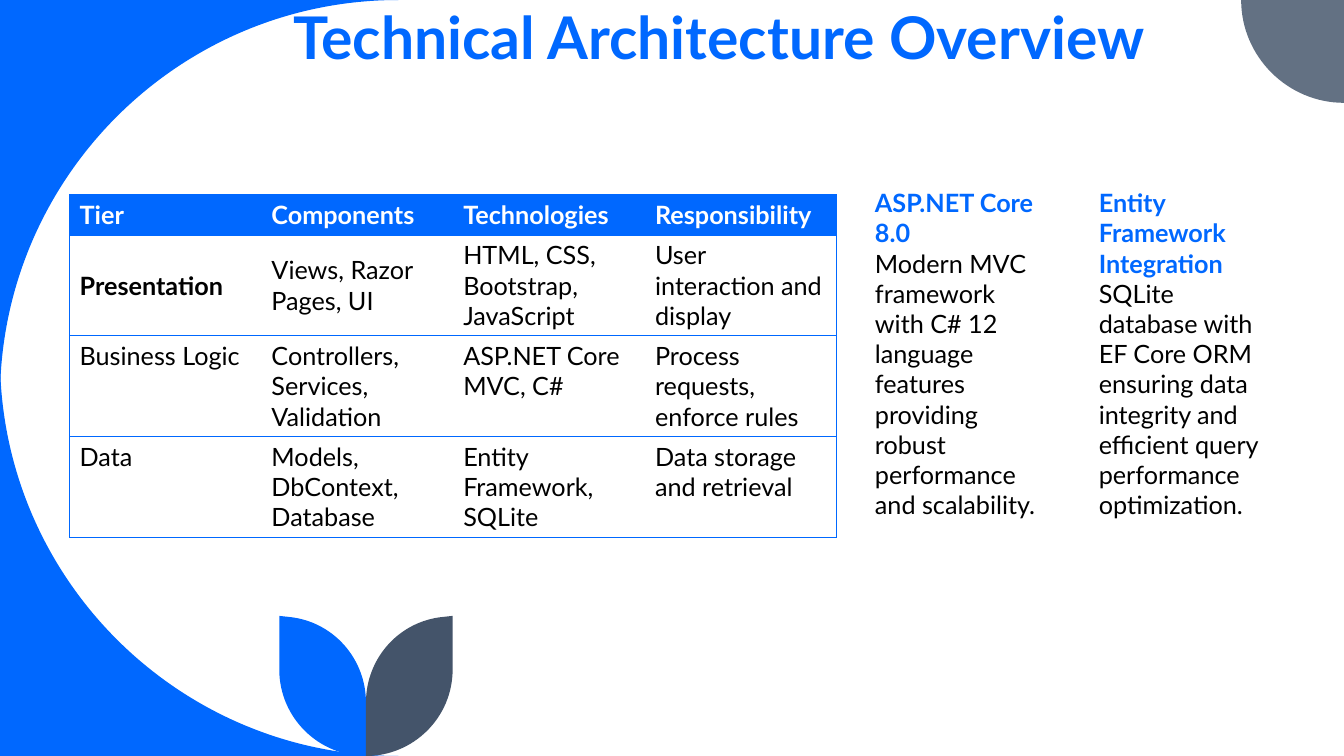
from dataclasses import dataclass

from lxml import etree
from pptx import Presentation
from pptx import util as u
from pptx.dml.color import RGBColor
from pptx.enum import text
from pptx.oxml import ns

SLIDE_W, SLIDE_H = 13.33, 7.5
PLAIN_TABLE_STYLE = "{2D5ABB26-0587-4C30-8999-92F81FD0307C}"

Point = tuple[float, float]


@dataclass(frozen=True)
class Theme:
    font: str = "Lato"
    blue: str = "0068FF"
    slate: str = "44546A"
    grey: str = "637183"
    black: str = "000000"
    white: str = "FFFFFF"
    title_size: int = 42
    body_size: int = 18
    border: float = 0.5


@dataclass(frozen=True)
class Ornament:
    """A closed outline; each index in curves starts a triple of Bézier points."""
    outline: list[Point]
    curves: tuple[int, ...]
    color: str


@dataclass(frozen=True)
class Note:
    left: float
    height: float
    heading: str
    body: str


THEME = Theme()

# Ornament outlines; the mirrored ones are derived from these
TOP_CORNER = [(0, 0), (3.95, 0), (1.77, 0), (0, 1.77), (0, 3.95)]
BOTTOM_CORNER = [(x, SLIDE_H - y) for x, y in TOP_CORNER]
RIGHT_CORNER = [(SLIDE_W, 0), (12.31, 0), (12.31, 0.56), (12.77, 1.02),
                (SLIDE_W, 1.02)]
STEM_X = 3.63
LEFT_LEAF = [(2.77, 6.11), (2.77, 6.64), (2.77, 7.12), (3.16, 7.5), (STEM_X, 7.5),
             (STEM_X, 6.97), (STEM_X, 6.53), (3.3, 6.16), (2.86, 6.12)]
RIGHT_LEAF = [(2 * STEM_X - x, y) for x, y in LEFT_LEAF]

ORNAMENTS = [
    Ornament(TOP_CORNER, (2,), THEME.blue),
    Ornament(BOTTOM_CORNER, (2,), THEME.blue),
    Ornament(RIGHT_CORNER, (2,), THEME.grey),
    Ornament(LEFT_LEAF, (2, 6), THEME.blue),
    Ornament(RIGHT_LEAF, (2, 6), THEME.slate),
]

NOTES = [
    Note(8.58, 3.43, "ASP.NET Core 8.0",
         "Modern MVC framework with C# 12 language features providing robust "
         "performance and scalability."),
    Note(10.8, 3.74, "Entity Framework Integration",
         "SQLite database with EF Core ORM ensuring data integrity and efficient "
         "query performance optimization."),
]

TIERS = [
    ("Tier", "Components", "Technologies", "Responsibility"),
    ("Presentation", "Views, Razor Pages, UI", "HTML, CSS, Bootstrap, JavaScript",
     "User interaction and display"),
    ("Business Logic", "Controllers, Services, Validation", "ASP.NET Core MVC, C#",
     "Process requests, enforce rules"),
    ("Data", "Models, DbContext, Database", "Entity Framework, SQLite",
     "Data storage and retrieval"),
]


def style(para, size: float, color: str, bold: bool = False) -> None:
    for span in para.runs:
        span.font.name = THEME.font
        span.font.size = u.Pt(size)
        span.font.bold = bold
        span.font.color.rgb = RGBColor.from_string(color)


def bend(shape, curves: tuple[int, ...]) -> None:
    """Turn each marked triple of line segments into one cubic Bézier."""
    outline = shape._element.find(".//" + ns.qn("a:path"))
    segments = list(outline)
    for start in curves:
        bezier = etree.Element(ns.qn("a:cubicBezTo"))
        segments[start].addprevious(bezier)
        for segment in segments[start:start + 3]:
            bezier.append(segment[0])
            outline.remove(segment)


def add_ornament(page, ornament: Ornament) -> None:
    points = [(u.Inches(x), u.Inches(y)) for x, y in ornament.outline]
    builder = page.shapes.build_freeform(*points[0], scale=1.0)
    builder.add_line_segments(points[1:], close=True)
    shape = builder.convert_to_shape()
    bend(shape, ornament.curves)
    shape.shadow.inherit = False
    shape.fill.solid()
    shape.fill.fore_color.rgb = RGBColor.from_string(ornament.color)
    shape.line.fill.background()


def add_box(page, left: float, top: float, width: float, height: float,
            content: str):
    box = page.shapes.add_textbox(*map(u.Inches, (left, top, width, height)))
    box.text_frame.word_wrap = True
    box.text_frame.text = content
    return box


def add_title(page) -> None:
    box = add_box(page, 2.81, -0.46, 11.82, 2.47, "Technical Architecture Overview")
    # The deep lower margin lifts the centred line to the slide's top edge
    box.text_frame.vertical_anchor = text.MSO_ANCHOR.MIDDLE
    box.text_frame.margin_bottom = u.Inches(0.76)
    para = box.text_frame.paragraphs[0]
    para.line_spacing = 0.8
    style(para, THEME.title_size, THEME.blue, bold=True)


def add_note(page, note: Note) -> None:
    box = add_box(page, note.left, 1.81, 1.93, note.height,
                  f"{note.heading}\n{note.body}")
    heading, body = box.text_frame.paragraphs
    style(heading, THEME.body_size, THEME.blue, bold=True)
    style(body, THEME.body_size, THEME.black)


def add_border(cell, side: str) -> None:
    line = etree.SubElement(cell._tc.get_or_add_tcPr(), ns.qn(f"a:ln{side}"),
                            w=str(u.Pt(THEME.border)))
    fill = etree.SubElement(line, ns.qn("a:solidFill"))
    etree.SubElement(fill, ns.qn("a:srgbClr"), val=THEME.blue)


def add_tier_table(page) -> None:
    row_count, column_count = len(TIERS), len(TIERS[0])
    frame = page.shapes.add_table(row_count, column_count, u.Inches(0.69),
                                  u.Inches(1.93), u.Inches(7.61), u.Inches(3.4))
    table = frame.table
    table.horz_banding = False
    table._tbl.tblPr.find(ns.qn("a:tableStyleId")).text = PLAIN_TABLE_STYLE

    for r, values in enumerate(TIERS):
        is_header = r == 0
        table.rows[r].height = u.Inches(0.4 if is_header else 1)
        for c, value in enumerate(values):
            cell = table.cell(r, c)
            # Outer frame and horizontal rules only
            sides = {"L": c == 0, "R": c == column_count - 1, "T": True, "B": True}
            for side, is_drawn in sides.items():
                if is_drawn:
                    add_border(cell, side)
            if is_header:
                cell.fill.solid()
                cell.fill.fore_color.rgb = RGBColor.from_string(THEME.blue)
            else:
                cell.fill.background()
            cell.text_frame.text = value
            if r == 1 and c < 2:
                cell.vertical_anchor = text.MSO_ANCHOR.MIDDLE
            style(cell.text_frame.paragraphs[0], THEME.body_size,
                  THEME.white if is_header else THEME.black,
                  bold=is_header or (r, c) == (1, 0))


def main() -> None:
    deck = Presentation()
    deck.slide_width, deck.slide_height = u.Inches(SLIDE_W), u.Inches(SLIDE_H)
    page = deck.slides.add_slide(deck.slide_layouts[6])

    # Background ornaments
    for ornament in ORNAMENTS:
        add_ornament(page, ornament)

    # Title, side notes and table
    add_title(page)
    for note in NOTES:
        add_note(page, note)
    add_tier_table(page)

    deck.save("out.pptx")


if __name__ == "__main__":
    main()
